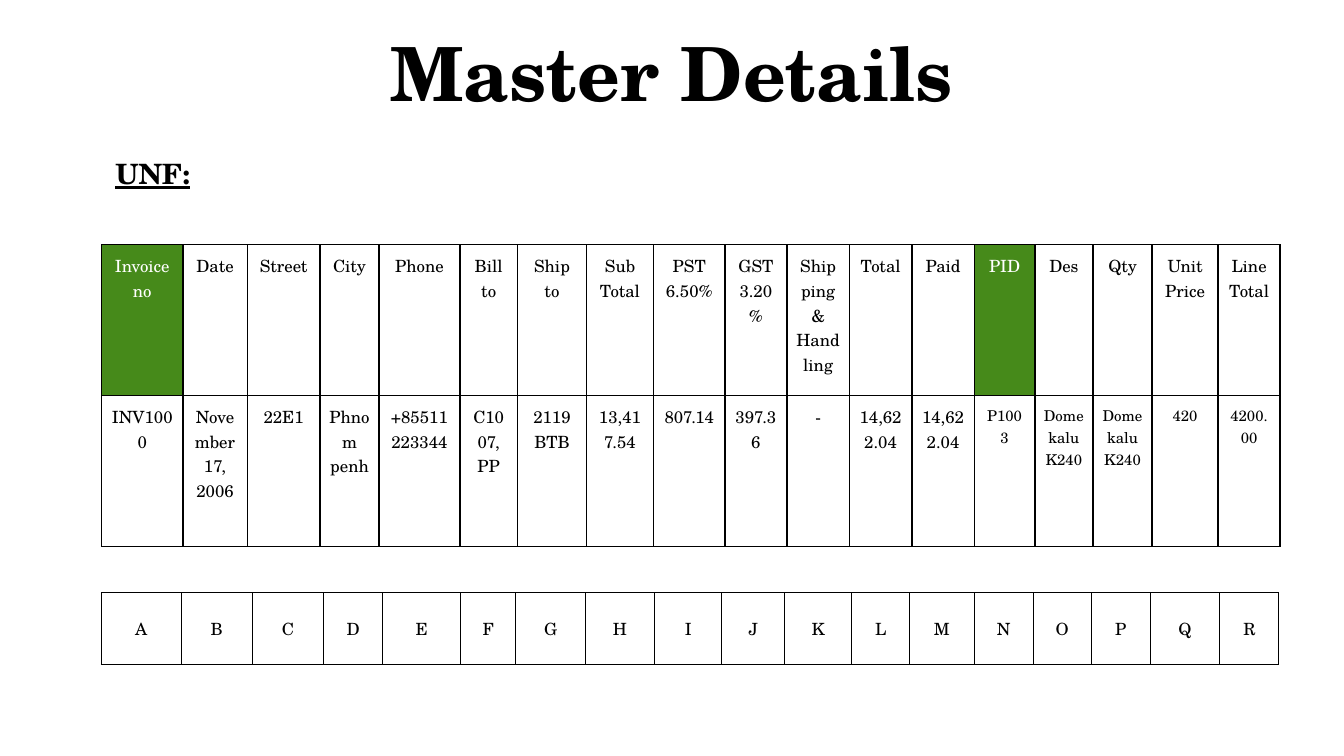
from pptx import Presentation
from pptx.dml.color import RGBColor
from pptx.enum import text as tx
from pptx.oxml import parse_xml
from pptx.oxml.ns import nsdecls
from pptx.util import Pt

# Content
TITLE = "Master Details"
LABEL = "UNF:"
FIELDS = [  # heading, value, column width
    ("Invoice no", "INV1000", 43.4),
    ("Date", "November 17, 2006", 34.6),
    ("Street", "22E1", 38.9),
    ("City", "Phnom penh", 31.7),
    ("Phone", "+85511223344", 43.2),
    ("Bill to", "C1007, PP", 31),
    ("Ship to", "2119\vBTB", 36.9),
    ("Sub Total", "13,417.54", 36),
    ("PST 6.50%", "807.14", 38.2),
    ("GST3.20%", "397.36", 33.2),
    ("Shipping & Handling", "-", 33.5),
    ("Total", "14,622.04", 33.5),
    ("Paid", "14,622.04", 33.5),
    ("PID", "P1003", 32.4),
    ("Des", "Domekalu K240", 31.2),
    ("Qty", "Domekalu K240", 31.7),
    ("Unit Price", "420", 35.3),
    ("Line Total", "4200.00", 33.3),
]
KEYS = ("Invoice no", "PID")
ITEM = 13  # first column of the line item
LETTERS = "ABCDEFGHIJKLMNOPQR"
SPANS = [42.7, 38.2, 38.2, 31.7, 41.8, 29.5, 37.2, 37.2, 36,
         33.6, 36, 31, 34.6, 31.7, 31, 31.7, 37.2, 31.7]

THEME = {
    "font": "TeX Gyre Schola",
    "ink": "000000", "paper": "FFFFFF", "key": "468A1A",
    "title": 40, "label": 15, "cell": 9, "item": 8,
    "thin": 0.5, "thick": 1,
}
CENTER = tx.PP_ALIGN.CENTER
MIDDLE = tx.MSO_ANCHOR.MIDDLE
TOP = tx.MSO_ANCHOR.TOP


# Helpers
def put(obj, **vals):
    for name, val in vals.items():
        setattr(obj, name, val)


def write(frame, words, size, ink="ink", align=None, **style):
    para = frame.paragraphs[0]
    para.text = words
    if align is not None:
        para.alignment = align
    for run in para.runs:
        put(run.font, name=THEME["font"], size=Pt(size), **style)
        run.font.color.rgb = RGBColor.from_string(THEME[ink])


def add_text(box, words, size, anchor=TOP, **style):
    frame = slide.shapes.add_textbox(*map(Pt, box)).text_frame
    put(frame, word_wrap=True, vertical_anchor=anchor, margin_left=Pt(7.2),
        margin_right=Pt(7.2), margin_top=Pt(7.2), margin_bottom=Pt(7.2))
    write(frame, words, size, **style)


def add_grid(left, top, widths, height, rows):
    shape = slide.shapes.add_table(rows, len(widths), Pt(left), Pt(top),
                                   Pt(sum(widths)), Pt(height * rows))
    grid = shape.table
    put(grid, first_row=False, horz_banding=False)
    for col, width in zip(grid.columns, widths):
        col.width = Pt(width)
    for row in grid.rows:
        row.height = Pt(height)
    return grid


def dress(cell, words, size, lines, pad, anchor=TOP, key=False):
    put(cell, vertical_anchor=anchor, margin_left=Pt(4.9),
        margin_right=Pt(4.9), margin_top=Pt(pad), margin_bottom=Pt(pad))
    write(cell.text_frame, words, size, "paper" if key else "ink", CENTER)
    if key:
        cell.fill.solid()
        cell.fill.fore_color.rgb = RGBColor.from_string(THEME["key"])
    else:
        cell.fill.background()
    props = cell._tc.get_or_add_tcPr()
    for pos, (side, line) in enumerate(zip("LRTB", lines)):
        props.insert(pos, parse_xml(
            f'<a:ln{side} {nsdecls("a")} w="{Pt(THEME[line])}"><a:solidFill>'
            f'<a:srgbClr val="{THEME["ink"]}"/></a:solidFill></a:ln{side}>'))


deck = Presentation()
put(deck, slide_width=Pt(720), slide_height=Pt(405))
slide = deck.slides.add_slide(deck.slide_layouts[6])

# Headings
add_text((85.7, 11.2, 548.6, 54.7), TITLE, THEME["title"], MIDDLE,
         align=CENTER, bold=True)
add_text((54.7, 76.6, 92.9, 32.4), LABEL, THEME["label"],
         bold=True, underline=True)

# Invoice table
grid = add_grid(54.5, 131.1, [f[2] for f in FIELDS], 80.8, 2)
for col, (head, value, _) in enumerate(FIELDS):
    edge = "thin" if col == 0 else "thick"
    item = col >= ITEM
    dress(grid.cell(0, col), head, THEME["cell"],
          (edge, "thick", "thin", "thick"), 4.9, key=head in KEYS)
    dress(grid.cell(1, col), value, THEME["item" if item else "cell"],
          (edge, "thick", "thick", "thick" if item else "thin"), 4.9)

# Letter row
grid = add_grid(54.3, 317.4, SPANS, 38.8, 1)
for col, letter in enumerate(LETTERS):
    dress(grid.cell(0, col), letter, THEME["cell"], ["thin"] * 4, 0, MIDDLE)

deck.save("out.pptx")
